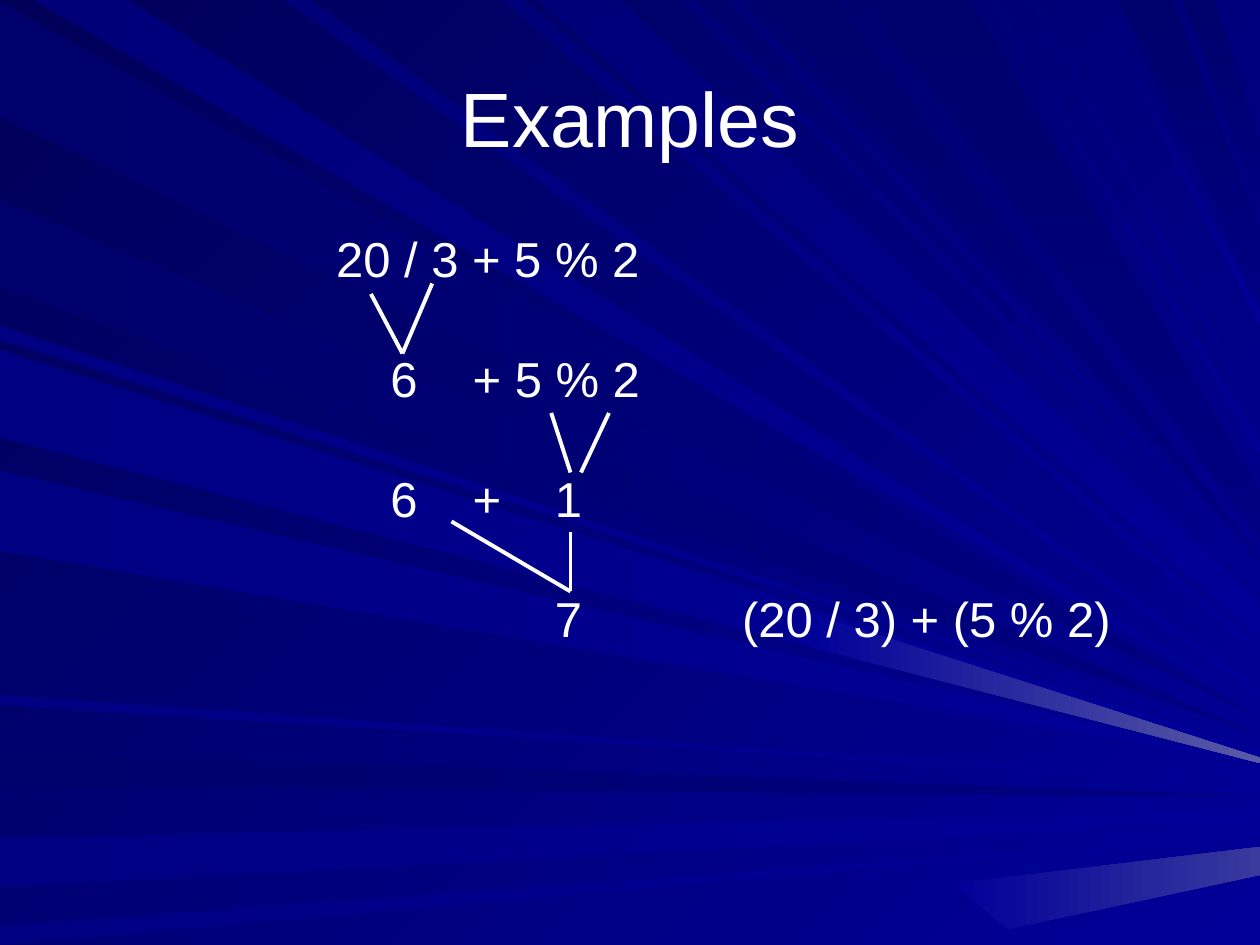
from lxml.etree import SubElement
from pptx import Presentation
from pptx.dml.color import RGBColor
from pptx.enum.shapes import MSO_CONNECTOR
from pptx.enum.text import MSO_ANCHOR, PP_ALIGN
from pptx.oxml.ns import qn
from pptx.util import Pt

WHITE = RGBColor.from_string("FFFFFF")
MIDNIGHT = RGBColor.from_string("000058")
DARK = RGBColor.from_string("00006C")
DUSK = RGBColor.from_string("000078")
DEEP = RGBColor.from_string("000082")
NAVY = RGBColor.from_string("000080")
BLUE = RGBColor.from_string("000099")
DIM_GLOW = RGBColor.from_string("39399E")
GLOW = RGBColor.from_string("5A5AA6")

W, H = 720, 540

LEFT_NAVY = [(1, 67, 410), (429, 449, 455), (114, 164, 420)]
TOP_BLUE = [
    (19, 73, 405), (162, 178, 394, 397), (287, 300, 371, 375),
    (307, 354, 345, 365), (389, 397, 333), (415, 423, 326),
    (565, 570, 255, 259), (587, 593, 241), (623, 628, 179, 186),
]
TOP_NAVY = [(436, 476, 320), (494, 554, 281, 308), (639, 670, 132, 171), (676, 694, 82, 120)]
LEFT_BLUE = [
    (479, 507, 463, 469), (529, H, 477), (186, 194, 424), (200, 246, 429, 433),
    (269, 315, 436), (397, 403, 448), (204, 250, 433, 436),
]

STEPS = [
    ("20 / 3 + 5 % 2", 192, []),
    ("\t6\t+ 5 % 2", 192, [31, 78]),
    ("\t6\t+\t1", 160, [31, 78, 125]),
    ("\t7", 160, [125]),
]

JOINS = [
    ((212, 168), (230, 202)), ((247, 162), (230, 202)),
    ((315, 236), (326, 270)), ((348, 236), (332, 270)),
    ((258, 298), (326, 338)), ((326, 304), (326, 338)),
]


def set_fill(fill, start, end, angle):
    fill.gradient()
    fill.gradient_angle = 360 - angle
    for stop, color in zip(fill.gradient_stops, (start, end)):
        stop.color.rgb = color


def format_font(p, size):
    for name, value in {"name": "Arial", "size": Pt(size), "bold": False}.items():
        setattr(p.font, name, value)
    p.font.color.rgb = WHITE


def add_ray(s, points, start, end, angle):
    corners = [(Pt(x), Pt(y)) for x, y in points]
    builder = s.shapes.build_freeform(*corners[0])
    builder.add_line_segments(corners[1:], close=True)
    sp = builder.convert_to_shape()
    sp.shadow.inherit = False
    sp.line.fill.background()
    set_fill(sp.fill, start, end, angle)


def add_left_rays(s, rays, start, end):
    for a, b, *tips in rays:
        points = [(0, a), (0, b)] + [(W, y) for y in reversed(tips)]
        add_ray(s, points, start, end, 0)


def add_top_rays(s, rays, start, end, angle):
    for a, b, *tips in rays:
        points = [(a, 0), (b, 0)] + [(W, y) for y in tips]
        add_ray(s, points, start, end, angle)


def add_title(s, text):
    sp = s.shapes.title
    sp.element.getparent().append(sp.element)
    box = {"left": Pt(36), "top": Pt(21.6), "width": Pt(648), "height": Pt(90)}
    for name, value in box.items():
        setattr(sp, name, value)
    tf = sp.text_frame
    tf.text = text
    tf.vertical_anchor = MSO_ANCHOR.MIDDLE
    p = tf.paragraphs[0]
    p.alignment = PP_ALIGN.CENTER
    format_font(p, 44)


def add_step(s, text, left, top, width, tabs):
    sp = s.shapes.add_textbox(Pt(left), Pt(top), Pt(width), Pt(41))
    tf = sp.text_frame
    tf.word_wrap = True
    p = tf.paragraphs[0]
    if tabs:
        tab_list = SubElement(p._p.get_or_add_pPr(), qn("a:tabLst"))
        for pos in tabs:
            SubElement(tab_list, qn("a:tab"), pos=str(Pt(pos)), algn="l")
    r = p.add_run()
    r.text = text
    format_font(p, 28)


def add_join(s, start, end):
    ends = [Pt(v) for v in start + end]
    line = s.shapes.add_connector(MSO_CONNECTOR.STRAIGHT, *ends)
    line.line.color.rgb = WHITE
    line.line.width = Pt(2.25)
    SubElement(line.element.spPr, qn("a:effectLst"))


def main():
    prs = Presentation()
    prs.slide_width, prs.slide_height = Pt(W), Pt(H)
    s = prs.slides.add_slide(prs.slide_layouts[5])
    set_fill(s.background.fill, MIDNIGHT, BLUE, 45)
    add_left_rays(s, LEFT_NAVY, DARK, NAVY)
    add_top_rays(s, TOP_BLUE, DUSK, BLUE, 45)
    add_top_rays(s, TOP_NAVY, DARK, NAVY, 90)
    add_left_rays(s, LEFT_BLUE, DEEP, BLUE)
    add_ray(s, [(W, 500), (W, 484), (544, 505), (576, 531)], BLUE, DIM_GLOW, 0)
    add_ray(s, [(W, 433), (459, 349), (456, 368), (W, 436)], BLUE, GLOW, 0)
    add_title(s, "Examples")
    top, pitch = 127, 68.6
    for i, (text, width, tabs) in enumerate(STEPS):
        add_step(s, text, 185, top + i * pitch, width, tabs)
    add_step(s, "(20 / 3) + (5 % 2)", 417, top + 3 * pitch, 230, [])
    for join in JOINS:
        add_join(s, *join)
    prs.save("out.pptx")


if __name__ == "__main__":
    main()
